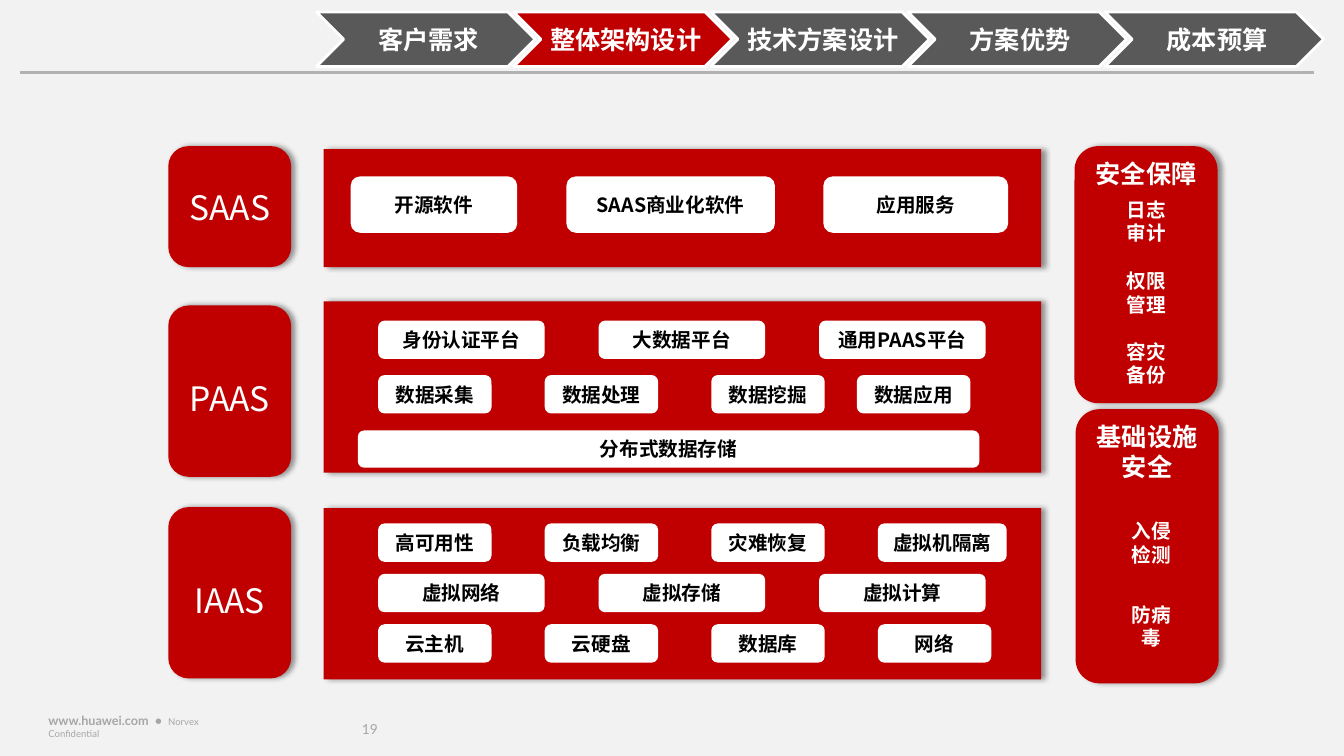
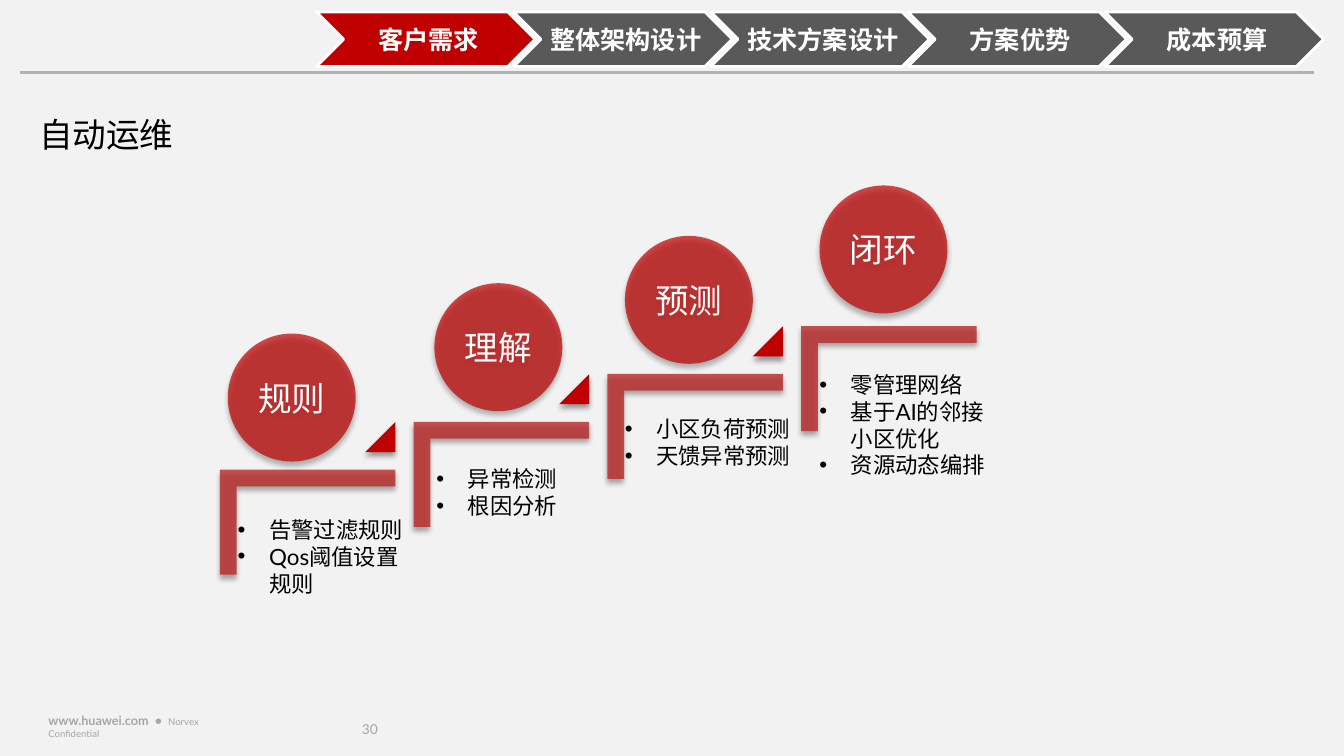
from lxml import etree
from pptx import Presentation
from pptx.dml.color import RGBColor
from pptx.enum.shapes import MSO_CONNECTOR, MSO_SHAPE
from pptx.enum.text import MSO_ANCHOR, PP_ALIGN
from pptx.oxml.ns import qn
from pptx.util import Pt

RECT, ROUND = MSO_SHAPE.RECTANGLE, MSO_SHAPE.ROUNDED_RECTANGLE
OVAL, CHEVRON = MSO_SHAPE.OVAL, MSO_SHAPE.CHEVRON
CORNER, WEDGE = MSO_SHAPE.CORNER, MSO_SHAPE.ISOSCELES_TRIANGLE
STRAIGHT = MSO_CONNECTOR.STRAIGHT
TOP, MID = MSO_ANCHOR.TOP, MSO_ANCHOR.MIDDLE
LEFT, CENTER = PP_ALIGN.LEFT, PP_ALIGN.CENTER

RED = RGBColor(0xC0, 0x00, 0x00)
BRICK = RGBColor(0xBB, 0x2B, 0x2B)
WHITE = RGBColor(0xFF, 0xFF, 0xFF)
BLACK = RGBColor(0x00, 0x00, 0x00)
DARK = RGBColor(0x59, 0x59, 0x59)
PALE = RGBColor(0xF2, 0xF2, 0xF2)
GRAY = RGBColor(0xA6, 0xA6, 0xA6)
RULE = RGBColor(0xB2, 0xB2, 0xB2)

HAN, LATO, ARIAL = "Noto Sans CJK SC", "Lato", "Arial"
PAD, NONE = (7.2, 3.6, 7.2, 3.6), (0, 0, 0, 0)
STEPS = ["客户需求", "整体架构设计", "技术方案设计", "方案优势", "成本预算"]

TAB = {"name": HAN, "size": Pt(18), "bold": True, "color": WHITE}
TITLE = {"name": HAN, "size": Pt(24), "bold": False, "color": BLACK}
LEVEL = {**TITLE, "color": WHITE}
DISC = {**LEVEL, "name": ARIAL}
PILL = {"name": HAN, "size": Pt(14), "bold": True, "color": BLACK}
ITEM = {**PILL, "color": WHITE}
POINT = {"name": LATO, "size": Pt(16), "bold": False, "color": BLACK}
SITE = {"name": LATO, "size": Pt(9), "bold": True, "color": GRAY}
NOTE = {**SITE, "size": Pt(6.8), "bold": False}
PAGE = {**SITE, "size": Pt(9.8), "bold": False}

FOUR = [(39 + 119 * i, 81) for i in range(4)]
THREE = [(39 + 157.5 * i, 119) for i in range(3)]
LAYERS = [
    ("SAAS", 104.4, 86.4, 0, 106.6, 84.2, [
        (19.4, 40.3, [(19.4, 119), (173.5, 149), (357, 132)],
         ["开源软件", "SAAS商业化软件", "应用服务"])]),
    ("PAAS", 218.2, 122.4, 10, 215.3, 122.4, [
        (13.7, 27.4, THREE, ["身份认证平台", "大数据平台", "通用PAAS平台"]),
        (52.6, 27.4, FOUR[:3] + [(381, 81)],
         ["数据采集", "数据处理", "数据挖掘", "数据应用"]),
        (92.2, 26.6, [(24.5, 444)], ["分布式数据存储"])]),
    ("IAAS", 362.2, 122.4, 10, 362.9, 122.4, [
        (11, 27.4, FOUR[:3] + [(396, 92)],
         ["高可用性", "负载均衡", "灾难恢复", "虚拟机隔离"]),
        (47, 27.4, THREE, ["虚拟网络", "虚拟存储", "虚拟计算"]),
        (83, 27.4, FOUR, ["云主机", "云硬盘", "数据库", "网络"])]),
]
GUARDS = [
    ((767.5, 104.4, 102.2, 183.6), "安全保障", 25.2,
     [(33.1, "日志审计"), (84.2, "权限管理"), (134.6, "容灾备份")]),
    ((768.3, 292.3, 102.2, 195.8), "基础设施安全", 28,
     [(74.9, "入侵检测"), (134.6, "防病毒")]),
]
STAIRS = [
    ("规则", (162.7, 238.3), (162.7, 365), ["告警过滤规则", "Qos阈值设置规则"]),
    ("理解", (310.3, 202.3), (304.6, 329), ["异常检测", "根因分析"]),
    ("预测", (446.4, 168.5), (439.2, 293), ["小区负荷预测", "天馈异常预测"]),
    ("闭环", (585.4, 132.5), (578.2, 261.4),
     ["零管理网络", "基于AI的邻接小区优化", "资源动态编排"]),
]


def node(parent, tag, **attrs):
    """Append a drawing element and return it."""
    made = etree.SubElement(parent, qn(tag))
    for key, value in attrs.items():
        made.set(key, str(value))
    return made


def add_run(para, text, form):
    """Add a run styled from a dict of format values."""
    run = para.add_run()
    run.text = text
    for key, value in form.items():
        if key == "color":
            run.font.color.rgb = value
        else:
            setattr(run.font, key, value)
    node(run.font._element, "a:ea", typeface=HAN)


def write(shape, lines, form, align=CENTER, anchor=MID, pad=PAD, dots=False):
    """Fill a shape with paragraphs of one format."""
    frame = shape.text_frame
    sides = ("left", "top", "right", "bottom")
    look = {"margin_" + side: Pt(gap) for side, gap in zip(sides, pad)}
    look.update(word_wrap=True, vertical_anchor=anchor)
    for key, value in look.items():
        setattr(frame, key, value)
    for i, text in enumerate(lines):
        para = frame.add_paragraph() if i else frame.paragraphs[0]
        if dots:
            props = para._p.get_or_add_pPr()
            props.set("marL", str(Pt(22.5)))
            props.set("indent", str(Pt(-22.5)))
            node(props, "a:buFont", typeface=ARIAL)
            node(props, "a:buChar", char="•")
        para.alignment = align
        para.line_spacing = Pt(round(form["size"].pt * 1.2, 1))
        add_run(para, text, form)
    return frame


def add_box(slide, kind, box, fill, edge=None, alpha=None, shade=None):
    """Add a filled preset shape, with an optional shadow angle."""
    shape = slide.shapes.add_shape(kind, *map(Pt, box))
    shape.shadow.inherit = False
    shape.fill.solid()
    shape.fill.fore_color.rgb = fill
    if edge:
        shape.line.color.rgb = edge
        shape.line.width = Pt(2)
    else:
        shape.line.fill.background()
    props = shape._element.spPr
    if alpha:
        tint = props.find(qn("a:solidFill"))[0]
        node(tint, "a:alpha", val=alpha * 1000)
    if shade is not None:
        cast = node(props.find(qn("a:effectLst")), "a:outerShdw",
                    blurRad=Pt(4), dist=Pt(3), dir=shade * 60000,
                    algn="ctr", rotWithShape=0)
        node(node(cast, "a:srgbClr", val="000000"), "a:alpha", val=40000)
    return shape


def add_text(slide, box, lines, form, **opts):
    """Add a text box and return its frame."""
    return write(slide.shapes.add_textbox(*map(Pt, box)), lines, form, **opts)


def add_nav(slide, x, y, active):
    """Draw the chevron bar and the rule below it."""
    for i, text in enumerate(STEPS):
        fill = RED if i == active else DARK
        step = add_box(slide, CHEVRON, (x + 140.8 * i, y, 156.2, 38.9),
                       fill, edge=WHITE)
        write(step, [text], TAB, pad=(4, 0, 0, 0))
    line = slide.shapes.add_connector(
        STRAIGHT, Pt(14.4), Pt(y + 43.2), Pt(938.9), Pt(y + 43.2))
    line.line.color.rgb = RULE
    line.line.width = Pt(2.25)
    node(line._element.spPr, "a:effectLst")


def add_foot(slide, x, y, page):
    """Draw the footer and the page number."""
    frame = add_text(slide, (x, y, 150.5, 16.6), ["www.huawei.com  •  "],
                     SITE, align=LEFT, pad=(5, 3, 5, 3))
    para = frame.paragraphs[0]
    para.line_spacing = 1.0
    add_run(para, "Norvex Confidential", NOTE)
    add_text(slide, (x + 229, y + 3, 28.8, 15), [page], PAGE,
             align=LEFT, pad=NONE)


def add_base(deck, active, page):
    """Start a slide with the shared parts."""
    slide = deck.slides.add_slide(deck.slide_layouts[6])
    back = slide.background.fill
    back.solid()
    back.fore_color.rgb = PALE
    add_nav(slide, 226.1, 8.6, active)
    add_foot(slide, 29.5, 510.5, page)
    return slide


def add_layer(slide, x, name, y, high, drop, top, tall, rows):
    """Draw a level label and its band of pills."""
    label = add_box(slide, ROUND, (x, y, 87.8, high), RED, shade=0)
    write(label, [name], LEVEL, pad=(0, drop, 0, 0))
    left = x + 110.9
    add_box(slide, RECT, (left, top, 512.6, tall), RED, shade=0)
    for down, size, cells, texts in rows:
        for (over, wide), text in zip(cells, texts):
            pill = add_box(slide, ROUND,
                           (left + over, top + down, wide, size), WHITE)
            write(pill, [text], PILL, pad=NONE)


def add_guard(slide, box, head, over, items):
    """Draw a security column with its items."""
    panel = add_box(slide, ROUND, box, RED, shade=0)
    write(panel, [head], TAB, anchor=TOP)
    for down, text in items:
        add_text(slide, (box[0] + over, box[1] + down, 52.6, 41), [text],
                 ITEM, anchor=TOP)


def add_stair(slide, x, y, last):
    """Draw one corner step, and a wedge unless it is the last."""
    step = add_box(slide, CORNER, (x, y, 75, 125.4), BRICK, alpha=81,
                   shade=90)
    step.rotation = 90
    for i in range(2):
        step.adjustments[i] = 0.16
    if not last:
        wedge = add_box(slide, WEDGE, (x + 78.8, y - 8.8, 21.4, 21.4), RED,
                        shade=90)
        wedge.adjustments[0] = 1


def draw_stack(deck):
    """Build the layered architecture slide."""
    slide = add_base(deck, 1, "19")
    for layer in LAYERS:
        add_layer(slide, 120.2, *layer)
    for guard in GUARDS:
        add_guard(slide, *guard)


def draw_stairs(deck):
    """Build the staircase slide."""
    slide = add_base(deck, 0, "30")
    add_text(slide, (20.9, 77.8, 204.5, 36), ["自动运维"], TITLE,
             align=LEFT, anchor=TOP)
    for i, (name, disc, note, points) in enumerate(STAIRS):
        add_stair(slide, 182.2 + 138.4 * i, 310.3 - 34.2 * i,
                  i == len(STAIRS) - 1)
        ball = add_box(slide, OVAL, (*disc, 91.4, 91.4), RED, alpha=70,
                       shade=90)
        write(ball, [name], DISC, pad=NONE)
        add_text(slide, (*note, 140.4, 87), points, POINT, align=LEFT,
                 anchor=TOP, dots=True)


def main():
    """Build and save the deck."""
    deck = Presentation()
    deck.slide_width, deck.slide_height = Pt(960), Pt(540)
    draw_stack(deck)
    draw_stairs(deck)
    deck.save("out.pptx")


if __name__ == "__main__":
    main()
